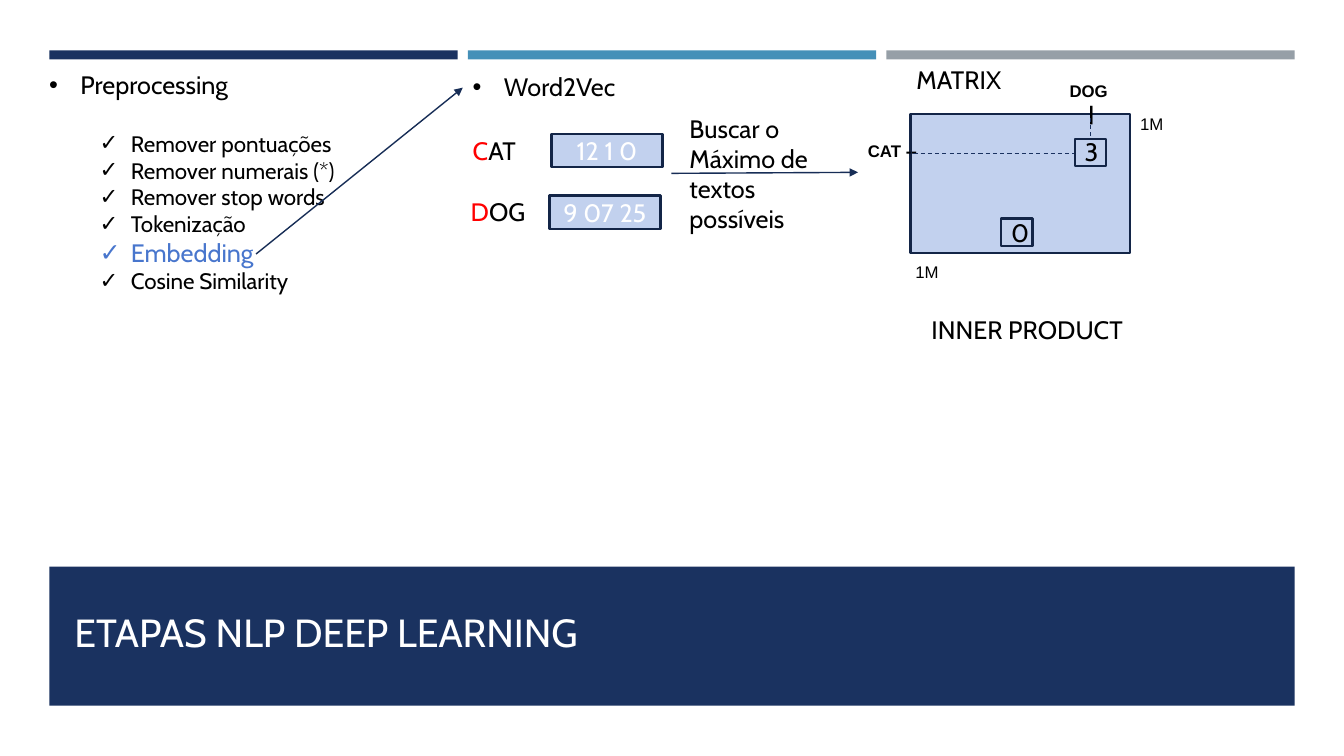
from lxml import etree
from pptx import Presentation
from pptx import util as u
from pptx.dml.color import RGBColor
from pptx.enum import dml, shapes, text
from pptx.oxml import ns

# Content
COLORS = {"navy": "1A3260", "blue": "4590B8", "gray": "969FA7", "white": "FFFFFF",
          "black": "000000", "red": "FF0000", "accent": "4876CD", "cell": "C2D1EE",
          "edge": "132547", "arrow": "172D56"}
TITLE = "ETAPAS NLP DEEP LEARNING"
STEPS = [("Remover pontuações", 16, "black"), ("Remover numerais (*)", 16, "black"),
         ("Remover stop words", 16, "black"), ("Tokenização", 16, "black"),
         ("Embedding", 18, "accent"), ("Cosine Similarity", 16, "black")]
VECTORS = [("C", "AT", "12 1 0", 0.68), ("D", "OG", "9 07 25", 0.79)]
NOTE = "Buscar o Máximo de textos possíveis"

# Grid
WIDTH, HEIGHT = 13.33, 7.5
MARGIN, GAP = 0.49, 0.1
SPAN = WIDTH - 2 * MARGIN
COLUMN = (SPAN - 2 * GAP) / 3
VECTOR_TOP, VECTOR_STEP = 1.33, 0.61
MATRIX = (9.03, 1.13, 2.18, 1.38)
CELL_W, CELL_H = 0.31, 0.27
CELLS = [("3", 10.66, 1.38, 1.3), ("0", 9.93, 2.17, 2.11)]  # value, left, top, text top
CAPTIONS = [("MATRIX", 8.99, 0.59, 1.09, 18, "Cabin"),
            ("INNER PRODUCT", 9.14, 3.07, 2.18, 18, "Cabin"),
            ("1M", 8.98, 2.55, 0.44, 12, "Arial"),
            ("1M", 11.21, 1.08, 0.44, 12, "Arial")]

deck = Presentation()
deck.slide_width, deck.slide_height = u.Inches(WIDTH), u.Inches(HEIGHT)
page = deck.slides.add_slide(deck.slide_layouts[6])


def rgb(name):
    return RGBColor.from_string(COLORS[name])


def add_run(para, words, size=18, color="black", font="Cabin", bold=False):
    span = para.add_run()
    span.text = words
    span.font.size, span.font.name, span.font.bold = u.Pt(size), font, bold
    span.font.color.rgb = rgb(color)


def indent(para, left, bullet=None):
    props = para._p.get_or_add_pPr()
    props.set("marL", str(u.Inches(left)))
    if bullet:
        props.set("indent", str(-u.Inches(0.31)))
        etree.SubElement(props, ns.qn("a:buFont")).set("typeface", "Arial")
        etree.SubElement(props, ns.qn("a:buChar")).set("char", bullet)


def add_text(left, top, width, height=0.4, wrap=True):
    box = page.shapes.add_textbox(*map(u.Inches, (left, top, width, height)))
    box.text_frame.word_wrap = wrap
    return box.text_frame


def add_rect(left, top, width, height, fill=None, edge=None):
    rect = page.shapes.add_shape(shapes.MSO_SHAPE.RECTANGLE,
                                 *map(u.Inches, (left, top, width, height)))
    rect.shadow.inherit = False
    if fill:
        rect.fill.solid()
        rect.fill.fore_color.rgb = rgb(fill)
    else:
        rect.fill.background()
    if edge:
        rect.line.color.rgb = rgb(edge)
        rect.line.width = u.Pt(1.75)
    else:
        rect.line.fill.background()
    return rect


def add_line(start, end, color, weight, arrow=False):
    line = page.shapes.add_connector(shapes.MSO_CONNECTOR.STRAIGHT,
                                     *map(u.Inches, start + end))
    line.line.color.rgb = rgb(color)
    line.line.width = u.Pt(weight)
    if arrow:
        head = etree.SubElement(line.line._get_or_add_ln(), ns.qn("a:tailEnd"))
        head.set("type", "triangle")
    else:
        line.line.dash_style = dml.MSO_LINE.DASH
    etree.SubElement(line._element.spPr, ns.qn("a:effectLst"))


# Top bars, white panel and title band
for index, color in enumerate(("navy", "blue", "gray")):
    add_rect(MARGIN + index * (COLUMN + GAP), 0.5, COLUMN, 0.1, color)
add_rect(0, 0.59, WIDTH, HEIGHT - 0.59, "white")
add_rect(MARGIN, 5.62, SPAN, 1.38, "navy")
title = add_text(0.64, 5.76, 12.06, 0.79)
title.vertical_anchor = text.MSO_ANCHOR.BOTTOM
add_run(title.paragraphs[0], TITLE, 28, "white")

# Preprocessing steps
steps = add_text(0.39, 0.64, 4.03, 3)
indent(steps.paragraphs[0], 0.31, "•")
add_run(steps.paragraphs[0], "Preprocessing")
for index, (step, size, color) in enumerate(STEPS):
    para = steps.add_paragraph()
    indent(para, 0.81, "✓")
    if index == 0:
        para.space_before = u.Pt(21.5)
    add_run(para, step, size, color)
add_line((2.54, 2.52), (4.59, 0.87), "arrow", 1, arrow=True)

# Word2Vec with its word vectors
heading = add_text(4.59, 0.66, 7.08).paragraphs[0]
indent(heading, 0.31, "•")
add_run(heading, "Word2Vec")
for index, (initial, rest, vector, width) in enumerate(VECTORS):
    top = VECTOR_TOP + index * VECTOR_STEP
    shift = 0.02 * index
    word = add_text(4.59 - shift, top - 0.04, width, wrap=False).paragraphs[0]
    add_run(word, initial, color="red")
    add_run(word, rest)
    frame = add_rect(5.47 - shift, top, 1.1, 0.33, "cell", "edge").text_frame
    frame.vertical_anchor = text.MSO_ANCHOR.MIDDLE
    frame.paragraphs[0].alignment = text.PP_ALIGN.CENTER
    add_run(frame.paragraphs[0], vector, color="white")
add_line((6.66, 1.72), (8.51, 1.71), "arrow", 1, arrow=True)
add_run(add_text(6.74, 1.07, 1.8, 1.01).paragraphs[0], NOTE)

# Matrix with captions and axis labels
add_rect(*MATRIX, "cell", "edge")
for words, left, top, width, size, font in CAPTIONS:
    add_run(add_text(left, top, width, size / 45, wrap=False).paragraphs[0],
            words, size, font=font)
add_run(add_text(8.51, 1.35, 0.73, 0.3).paragraphs[0], "CAT --", 12, font="Arial", bold=True)
column_label = add_text(10.51, 0.75, 0.73, 0.54)
add_run(column_label.paragraphs[0], "DOG", 12, font="Arial", bold=True)
tick = column_label.add_paragraph()
indent(tick, 0.19)
add_run(tick, "|", 14, font="Arial", bold=True)

# Dashed guides and matrix cells
add_line((9.06, 1.52), (10.66, 1.52), "navy", 0.75)
add_line((10.82, 1.17), (10.82, 1.38), "navy", 0.75)
for value, left, top, text_top in CELLS:
    add_rect(left, top, CELL_W, CELL_H, edge="edge")
    add_run(add_text(left, text_top, 0.33, wrap=False).paragraphs[0], value)

deck.save("out.pptx")
